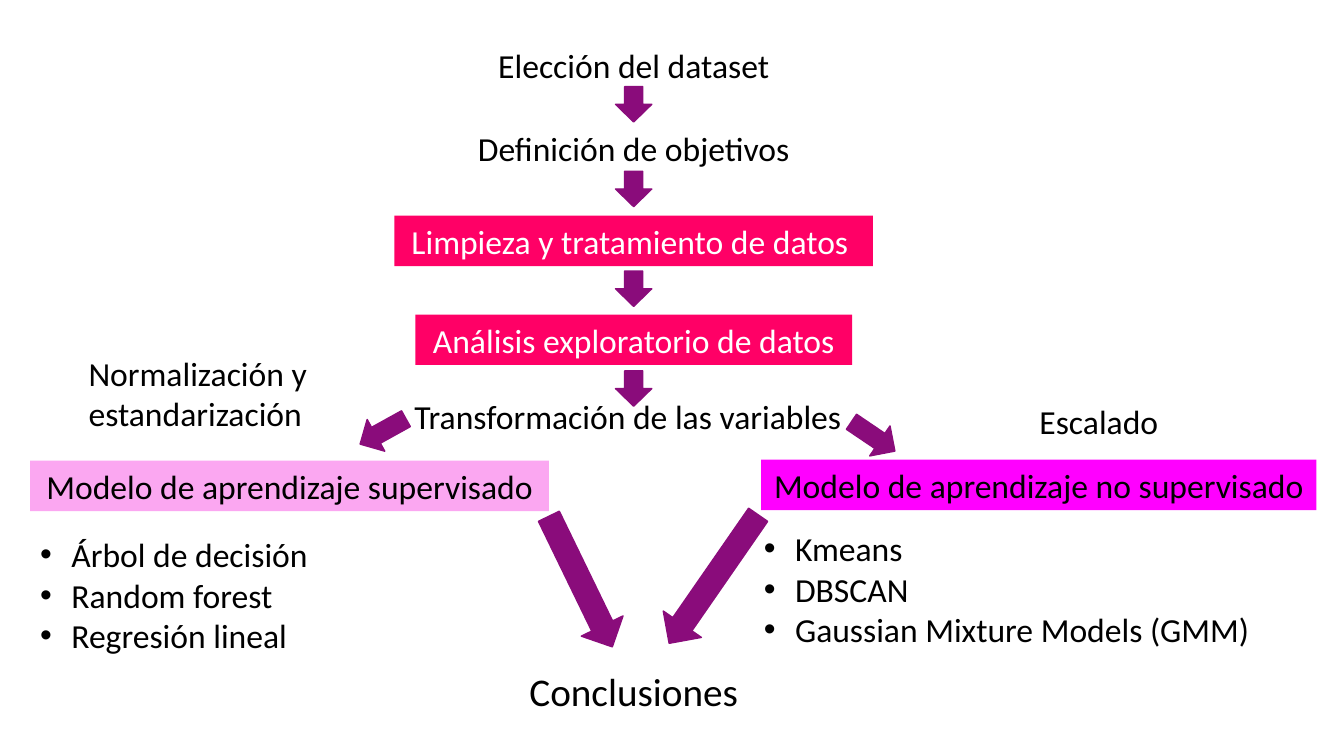
"""Build a flow chart slide of a data science project."""
from lxml import etree
from pptx import Presentation
from pptx import util as u
from pptx.dml.color import RGBColor
from pptx.enum import shapes, text as txt
from pptx.oxml.ns import qn

HUES = {"ink": "000000", "white": "FFFFFF", "rose": "FF0066",
        "pink": "FBA7F1", "magenta": "FF00FF", "plum": "8A0C7B"}
WIDE, HIGH = 13.33, 7.5
MID, ROW = 47.15, 6.67

# Lengths are percent of the slide's width or height.
STEPS = [
    ("Elección del dataset", 5.33, 23.2, {}),
    ("Definición de objetivos", 16.27, 32.6, {}),
    ("Limpieza y tratamiento de datos ", 28.53, 35.6, {"fill": "rose", "hue": "white"}),
    ("Análisis exploratorio de datos", 41.6, 32.5, {"fill": "rose", "hue": "white"}),
    ("Transformación de las variables", 51.73, 34.1, {"side": "LEFT"}),
    ("Conclusiones ", 87.6, 17.5, {"size": 28, "high": 7.6}),
]
SIDES = [
    ("Modelo de aprendizaje supervisado", 2.25, 60.93, 38.6, {"fill": "pink"}),
    ("Modelo de aprendizaje no supervisado", 56.64, 60.8, 41.3,
     {"fill": "magenta", "wrap": False}),
    ("Árbol de decisión\nRandom forest\nRegresión lineal", 2.25, 70, 22.2,
     {"high": 17.5, "side": "LEFT", "dots": True}),
    ("Kmeans\nDBSCAN\nGaussian Mixture Models (GMM)", 56.1, 69.2, 39.5,
     {"high": 22.9, "side": "LEFT", "dots": True}),
    ("Normalización y\nestandarización", 5.85, 46, 22.65, {"high": 12.1, "side": "LEFT"}),
    ("Escalado", 76.6, 52.4, 12.1, {"side": "LEFT"}),
]
DOWN = [13.8, 25, 38.2, 51.4]
TURNED = [
    (28.5, 57.07, 2.7, 6.93, 61),
    (64.97, 57.73, 2.7, 6.93, 304.1),
    (43.2, 76.93, 3.45, 19.2, 334.1),
    (53.1, 76.6, 3.45, 20.67, 34.7),
]


def place(left, top, wide, high):
    """Turn percent shares into slide lengths."""
    return [u.Inches(share * full / 100) for share, full in
            ((left, WIDE), (top, HIGH), (wide, WIDE), (high, HIGH))]


def paint(part, hue):
    """Fill a part with a named colour."""
    part.fill.solid()
    part.fill.fore_color.rgb = RGBColor.from_string(HUES[hue])


def write(slide, words, left, top, wide, high=ROW, fill=None, hue="ink",
          size=24, side="CENTER", dots=False, wrap=True):
    """Add a box of text, one paragraph a line."""
    area = place(left, top, wide, high)
    if fill:
        box = slide.shapes.add_shape(shapes.MSO_SHAPE.RECTANGLE, *area)
        box.shadow.inherit = False
        paint(box, fill)
        box.line.fill.background()
    else:
        box = slide.shapes.add_textbox(*area)
    frame = box.text_frame
    frame.word_wrap = wrap
    frame.auto_size = txt.MSO_AUTO_SIZE.SHAPE_TO_FIT_TEXT
    frame.vertical_anchor = txt.MSO_ANCHOR.TOP
    frame.text = words
    for para in frame.paragraphs:
        para.alignment = getattr(txt.PP_ALIGN, side)
        if dots:
            props = para._p.get_or_add_pPr()
            props.set("marL", str(u.Inches(0.31)))
            props.set("indent", str(-u.Inches(0.31)))
            etree.SubElement(props, qn("a:buFont")).set("typeface", "Arial")
            etree.SubElement(props, qn("a:buChar")).set("char", "•")
        font = para.font
        font.name, font.size = "Calibri", u.Pt(size)
        font.color.rgb = RGBColor.from_string(HUES[hue])


def point(slide, x, y, wide=2.7, high=4.67, turn=0):
    """Add a block arrow centred on a point."""
    arrow = slide.shapes.add_shape(
        shapes.MSO_SHAPE.DOWN_ARROW, *place(x - wide / 2, y - high / 2, wide, high))
    arrow.shadow.inherit = False
    arrow.rotation = turn
    paint(arrow, "plum")
    paint(arrow.line, "plum")
    arrow.line.width = u.Pt(1)


def main():
    """Lay out the slide and save it."""
    deck = Presentation()
    deck.slide_width, deck.slide_height = u.Inches(WIDE), u.Inches(HIGH)
    slide = deck.slides.add_slide(deck.slide_layouts[6])
    for words, top, wide, look in STEPS:
        write(slide, words, MID - wide / 2, top, wide, **look)
    for words, left, top, wide, look in SIDES:
        write(slide, words, left, top, wide, **look)
    for y in DOWN:
        point(slide, MID, y)
    for spot in TURNED:
        point(slide, *spot)
    deck.save("out.pptx")


if __name__ == "__main__":
    main()
